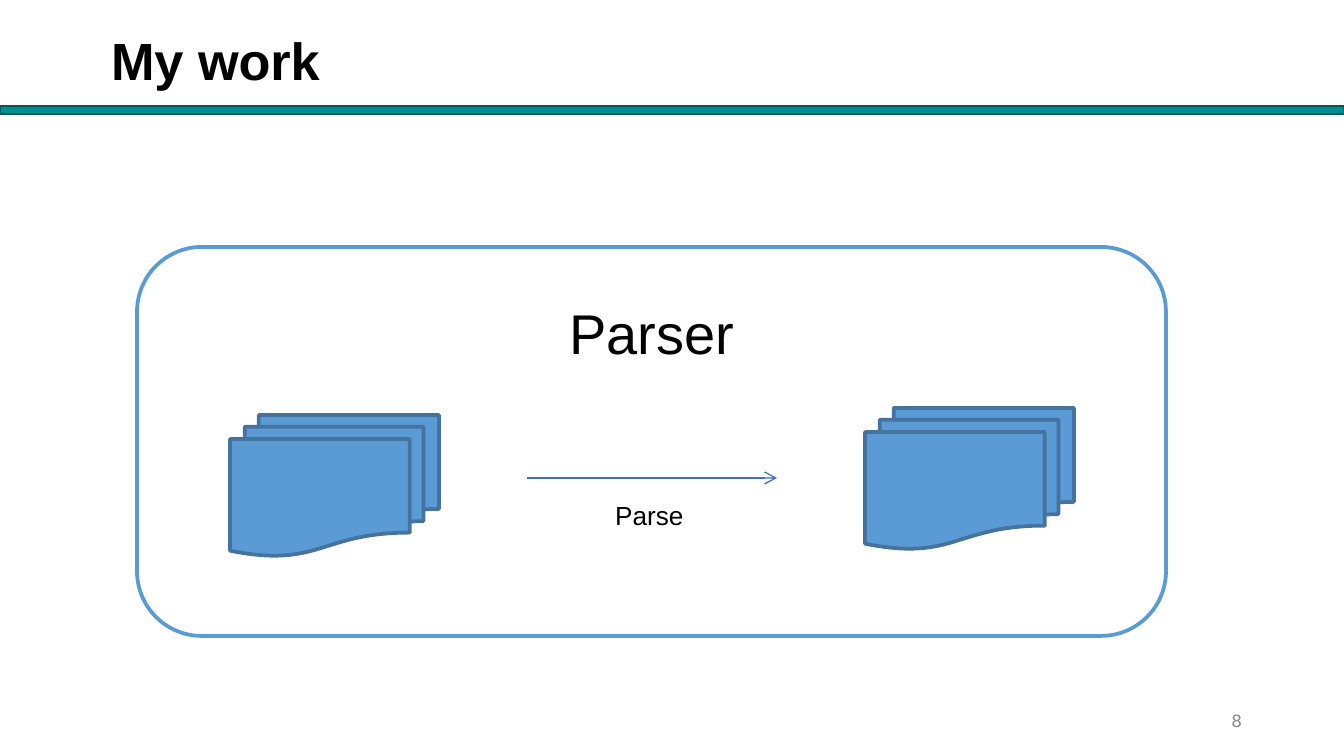
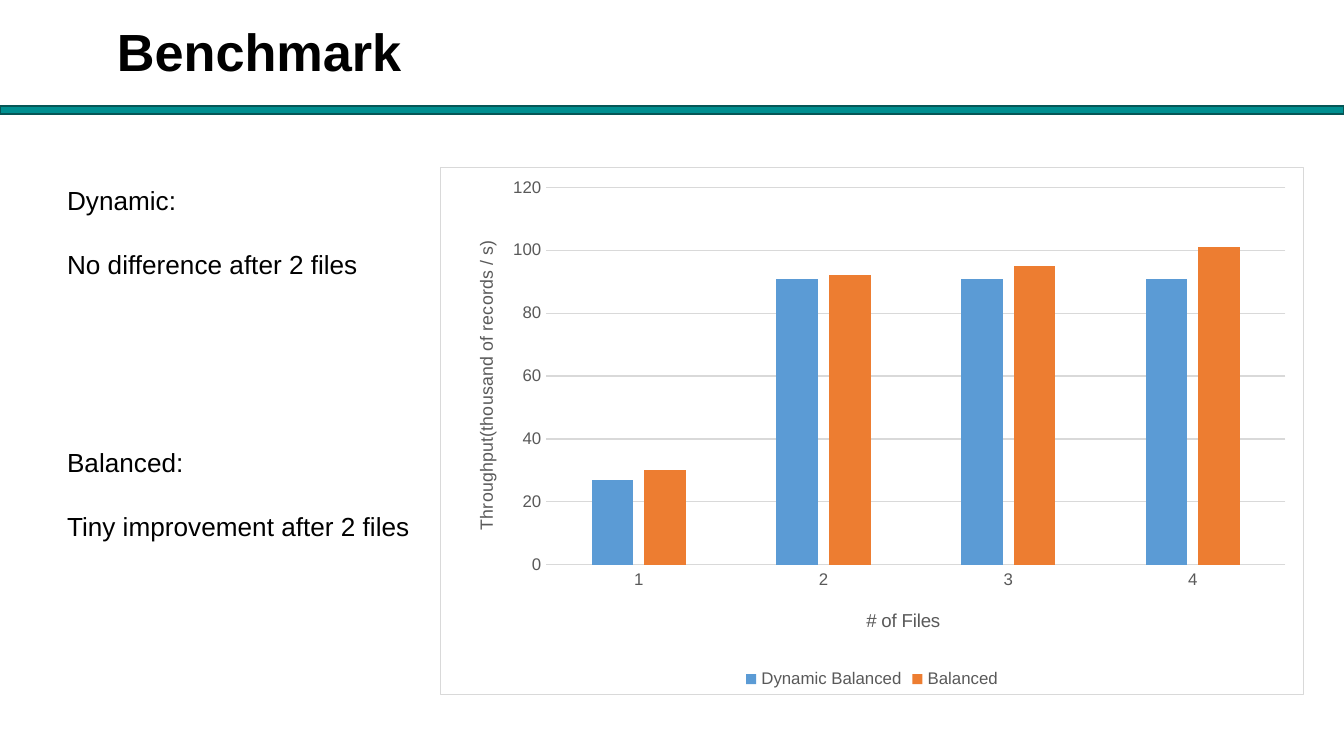
"""Builds two slides: a parser diagram and a benchmark chart."""
from lxml import etree
from pptx import Presentation
from pptx import util as u
from pptx.chart.data import CategoryChartData
from pptx.dml.color import RGBColor
from pptx.enum import chart as charts, shapes, text
from pptx.oxml import parse_xml
from pptx.oxml.ns import nsdecls, qn

SCALE = 914400 / 134.4
FONT = "Arial"
COLORS = {
    "white": "FFFFFF", "black": "000000", "number": "888888",
    "band": "008F90", "band_edge": "065656",
    "blue": "5B9BD5", "blue_edge": "43739E", "arrow": "3F6FC3",
    "orange": "ED7D31", "label": "595959", "grid": "D9D9D9",
}
SHAPE = shapes.MSO_SHAPE
ALIGN = text.PP_ALIGN
CHART_AREA = (440, 167, 864, 528)
NARROW = (9, 5, 9, 5)
REGULAR = (13, 7, 13, 7)


def px(length):
    """Turn pixels into EMU."""
    return u.Emu(round(length * SCALE))


def color(name):
    """Look up a named colour."""
    return RGBColor.from_string(COLORS[name])


def style_font(font, size, name="black", bold=False, face=FONT):
    """Set face, size, colour and weight of a font."""
    font.name, font.size, font.bold = face, u.Pt(size), bold
    font.color.rgb = color(name)


def style_line(line, name, width):
    """Set colour and width of a line."""
    line.color.rgb = color(name)
    line.width = u.Pt(width)


def write(frame, lines, size, align=ALIGN.LEFT, gap=0, margins=REGULAR,
          anchor=text.MSO_ANCHOR.TOP, **font):
    """Fill a text frame with one paragraph per line, gap points apart."""
    frame.word_wrap = True
    frame.vertical_anchor = anchor
    (frame.margin_left, frame.margin_top,
     frame.margin_right, frame.margin_bottom) = map(px, margins)
    for index, line in enumerate(lines):
        para = frame.add_paragraph() if index else frame.paragraphs[0]
        para.text = line
        para.alignment = align
        para.space_before = u.Pt(gap if index else 0)
        style_font(para.font, size, **font)


def add_text(page, area, lines, size, **options):
    """Add a text box."""
    box = page.shapes.add_textbox(*map(px, area))
    write(box.text_frame, lines, size, **options)


def add_shape(page, kind, area, fill, edge, width):
    """Add a filled and outlined preset shape."""
    shape = page.shapes.add_shape(kind, *map(px, area))
    shape.shadow.inherit = False
    shape.fill.solid()
    shape.fill.fore_color.rgb = color(fill)
    style_line(shape.line, edge, width)
    return shape


def add_arrow(page, start, end):
    """Add a thin line with an open arrowhead at its end."""
    arrow = page.shapes.add_connector(
        shapes.MSO_CONNECTOR.STRAIGHT, *map(px, start + end))
    style_line(arrow.line, "arrow", 0.75)
    etree.SubElement(arrow.line._get_or_add_ln(), qn("a:tailEnd"), type="arrow")
    etree.SubElement(arrow._element.spPr, qn("a:effectLst"))


def add_page(deck, title, area):
    """Add a blank page with its title and the band below."""
    page = deck.slides.add_slide(deck.slide_layouts[6])
    add_text(page, area, [title], 28, bold=True, margins=NARROW)
    add_shape(page, SHAPE.RECTANGLE, (0, 106, 1344, 8), "band", "band_edge", 1)
    return page


def place(parent, index, left, top, size=None):
    """Give a chart part a fixed place, in pixels of the page."""
    for old in parent.findall(qn("c:layout")):
        parent.remove(old)
    x, y, width, height = CHART_AREA
    values = {"xMode": "edge", "yMode": "edge",
              "x": (left - x) / width, "y": (top - y) / height}
    layout = etree.Element(qn("c:layout"))
    manual = etree.SubElement(layout, qn("c:manualLayout"))
    if size:
        values = {"layoutTarget": "inner", **values,
                  "w": size[0] / width, "h": size[1] / height}
    for tag, value in values.items():
        etree.SubElement(manual, qn("c:" + tag), val=str(value))
    parent.insert(index, layout)


def style_axis(axis, title, size, left, top):
    """Style the labels of an axis and place its title."""
    axis.major_tick_mark = axis.minor_tick_mark = charts.XL_TICK_MARK.NONE
    style_font(axis.tick_labels.font, 9, "label")
    frame = axis.axis_title.text_frame
    frame.text = title
    style_font(frame.paragraphs[0].font, size, "label")
    place(axis.axis_title._element, 1, left, top)


def frame_chart(chart):
    """Give the chart a white ground and a thin grey border."""
    ground = parse_xml(
        f'<c:spPr {nsdecls("c", "a")}><a:solidFill>'
        f'<a:srgbClr val="{COLORS["white"]}"/></a:solidFill>'
        f'<a:ln w="9525"><a:solidFill><a:srgbClr val="{COLORS["grid"]}"/>'
        '</a:solidFill></a:ln></c:spPr>')
    chart._chartSpace.find(qn("c:txPr")).addprevious(ground)


def add_column_chart(page, categories, series):
    """Add the clustered columns; series maps names to colour and values."""
    data = CategoryChartData()
    data.categories = categories
    for name, (_, values) in series.items():
        data.add_series(name, values)
    chart = page.shapes.add_chart(
        charts.XL_CHART_TYPE.COLUMN_CLUSTERED, *map(px, CHART_AREA), data).chart
    chart.has_title = False
    style_font(chart.font, 10)
    frame_chart(chart)

    plot = chart.plots[0]
    plot.gap_width, plot.overlap = 219, -27
    plot.vary_by_categories = False
    for columns, (fill, _) in zip(plot.series, series.values()):
        columns.format.fill.solid()
        columns.format.fill.fore_color.rgb = color(fill)

    style_axis(chart.category_axis, "# of Files", 10, 863, 606)
    style_line(chart.category_axis.format.line, "grid", 0.75)
    axis = chart.value_axis
    style_axis(axis, "Throughput(thousand of records / s)", 9.5, 470, 237)
    axis.minimum_scale, axis.maximum_scale, axis.major_unit = 0, 120, 20
    axis.format.line.fill.background()
    style_line(axis.major_gridlines.format.line, "grid", 0.75)
    place(chart._chartSpace.chart.plotArea, 0, 546, 187, (740, 378))

    chart.has_legend = True
    chart.legend.position = charts.XL_LEGEND_POSITION.BOTTOM
    chart.legend.include_in_layout = False
    style_font(chart.legend.font, 9, "label")


def build_work(deck):
    """Build the page with the parser diagram."""
    page = add_page(deck, "My work", (102, 23, 395, 67))
    add_text(page, (949, 700, 302, 41), ["8"], 9, align=ALIGN.RIGHT,
             margins=NARROW, anchor=text.MSO_ANCHOR.MIDDLE,
             name="number", face="DejaVu Sans")
    parser = add_shape(page, SHAPE.ROUNDED_RECTANGLE, (137, 247, 1029, 389),
                       "white", "blue", 2)
    write(parser.text_frame, ["Parser"], 30, align=ALIGN.CENTER,
          margins=(13, 33, 13, 7))
    for left, top in ((230, 415), (865, 408)):
        add_shape(page, SHAPE.FLOWCHART_MULTIDOCUMENT, (left, top, 209, 141),
                  "blue", "blue_edge", 2)
    add_arrow(page, (527, 478), (777, 478))
    add_text(page, (556, 492, 187, 46), ["Parse"], 14, align=ALIGN.CENTER)


def build_benchmark(deck):
    """Build the page with the findings and the chart."""
    page = add_page(deck, "Benchmark", (108, 14, 970, 84))
    findings = {"Dynamic:": "No difference after 2 files",
                "Balanced:": "Tiny improvement after 2 files"}
    for row, lines in enumerate(findings.items()):
        add_text(page, (54, 177 + 262 * row, 384, 109), lines, 14, gap=17.5)
    add_column_chart(page, ["1", "2", "3", "4"], {
        "Dynamic Balanced": ("blue", (27, 91, 91, 91)),
        "Balanced": ("orange", (30, 92, 95, 101)),
    })


def main():
    """Build and save the deck."""
    deck = Presentation()
    deck.slide_width, deck.slide_height = px(1344), px(756)
    build_work(deck)
    build_benchmark(deck)
    deck.save("out.pptx")


main()
